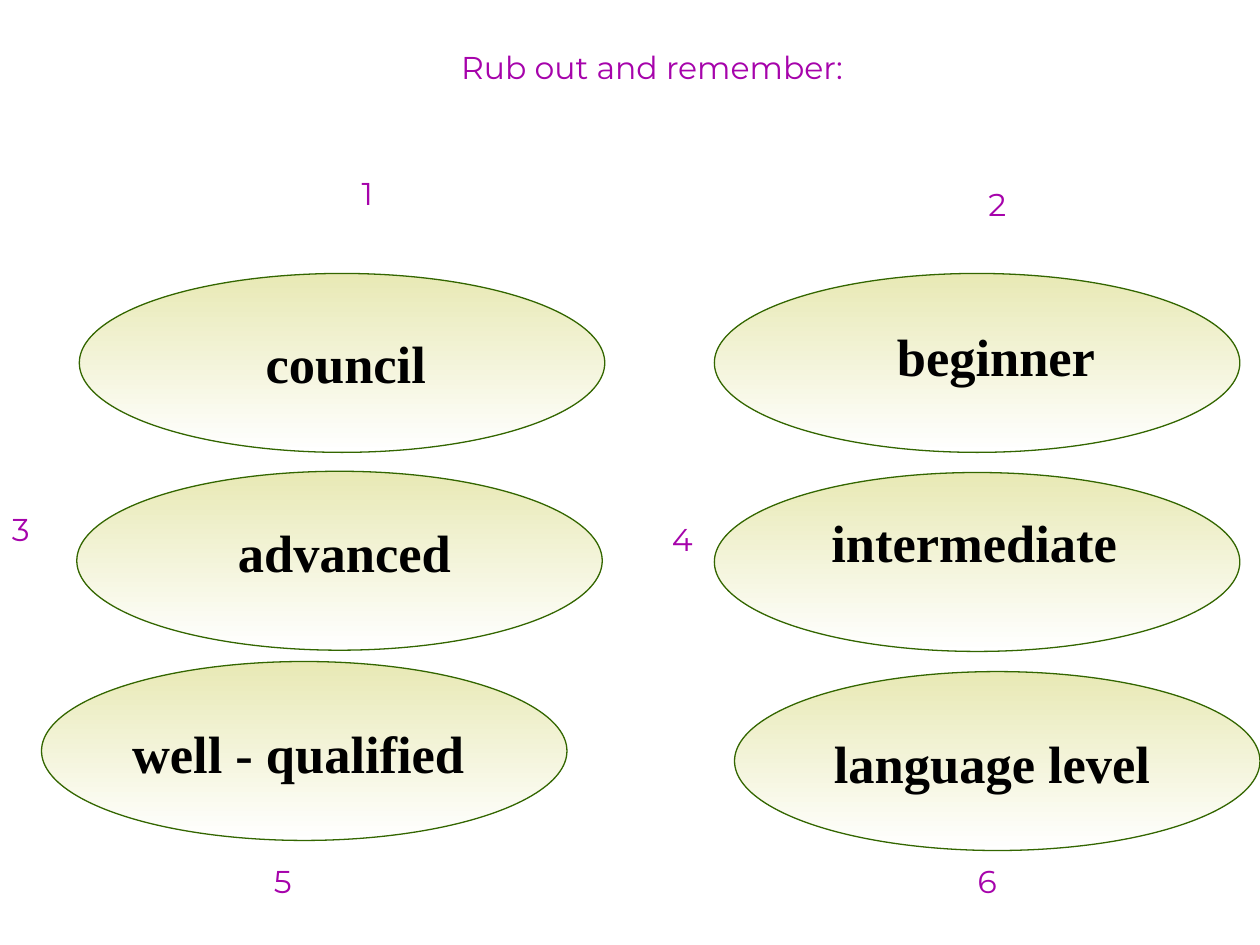
"""Build the "Rub out and remember" vocabulary slide."""
from pptx import Presentation
from pptx import util as u
from pptx.dml.color import RGBColor
from pptx.enum import shapes, text

THEME = {
    "label": {"name": "Montserrat", "size": u.Pt(18), "bold": False, "color": "A603AB"},
    "word": {"name": "Times New Roman", "size": u.Pt(30), "bold": True, "color": "000000"},
    "align": {"label": text.PP_ALIGN.CENTER, "word": text.PP_ALIGN.LEFT},
    "gradient": ("E8E9B5", "FFFFFF"),
    "line": "336600",
}
OVAL_SIZE = (4.17, 1.42)
NUMBER_SIZE = (0.33, 0.71)
WORD_HEIGHT = 0.6

TITLE = ("Rub out and remember:", (2.02, 0.33, 6.31, 0.71))
CARDS = [
    {"word": "council", "oval": (0.63, 2.17), "at": (2.01, 2.58), "width": 1.48, "number": (2.75, 1.33)},
    {"word": "beginner", "oval": (5.67, 2.17), "at": (7.02, 2.52), "width": 1.8, "number": (7.75, 1.42)},
    {"word": "advanced", "oval": (0.61, 3.74), "at": (1.79, 4.08), "width": 1.9, "number": (0, 4)},
    {"word": "intermediate", "oval": (5.67, 3.75), "at": (6.5, 4), "width": 2.68, "number": (5.25, 4.08),
     "wrap": True},
    {"word": "well - qualified", "oval": (0.33, 5.25), "at": (0.95, 5.67), "width": 2.85, "number": (2.08, 6.79)},
    {"word": "language level", "oval": (5.83, 5.33), "at": (6.52, 5.75), "width": 2.72, "number": (7.67, 6.79)},
]


def inches(box):
    return [u.Inches(v) for v in box]


def add_text(s, content, box, style, wrap=False):
    tf = s.shapes.add_textbox(*inches(box)).text_frame
    tf.word_wrap = wrap
    tf.auto_size = text.MSO_AUTO_SIZE.SHAPE_TO_FIT_TEXT if style == "word" else text.MSO_AUTO_SIZE.NONE
    p = tf.paragraphs[0]
    p.alignment = THEME["align"][style]
    r = p.add_run()
    r.text = content
    for key, value in THEME[style].items():
        if key == "color":
            r.font.color.rgb = RGBColor.from_string(value)
        else:
            setattr(r.font, key, value)


def add_oval(s, at):
    sp = s.shapes.add_shape(shapes.MSO_SHAPE.OVAL, *inches(at + OVAL_SIZE))
    sp.shadow.inherit = False
    sp.fill.gradient()
    sp.fill.gradient_angle = 270
    for i, (stop, color) in enumerate(zip(sp.fill.gradient_stops, THEME["gradient"])):
        stop.position = i
        stop.color.rgb = RGBColor.from_string(color)
    sp.line.color.rgb = RGBColor.from_string(THEME["line"])
    sp.line.width = u.Pt(0.75)


def main():
    prs = Presentation()
    prs.slide_width, prs.slide_height = inches((10, 7.5))
    s = prs.slides.add_slide(prs.slide_layouts[6])
    add_text(s, *TITLE, "label")
    for n, card in enumerate(CARDS, 1):
        add_oval(s, card["oval"])
        add_text(s, card["word"], card["at"] + (card["width"], WORD_HEIGHT), "word", card.get("wrap", False))
        add_text(s, str(n), card["number"] + NUMBER_SIZE, "label")
    prs.save("out.pptx")


if __name__ == "__main__":
    main()
